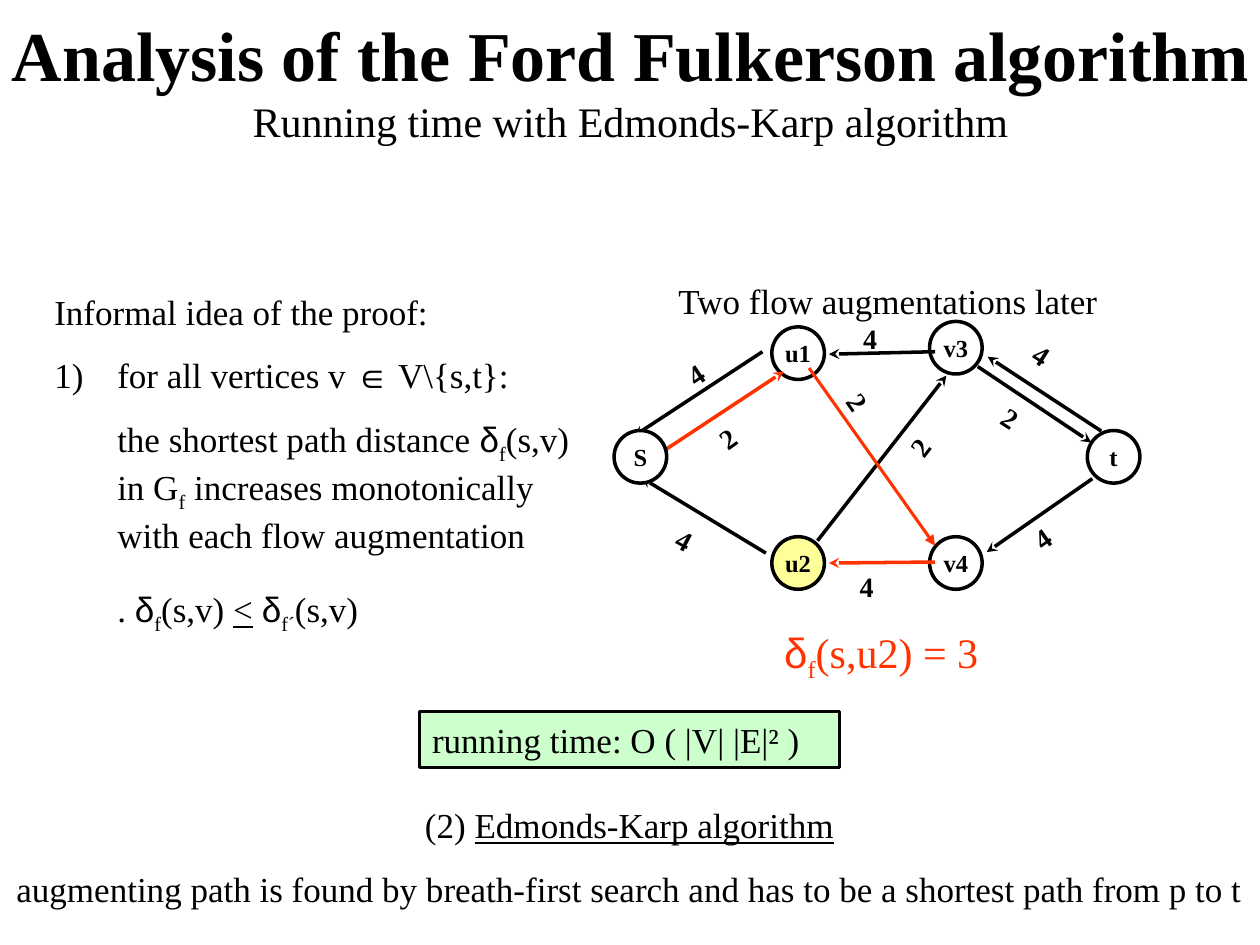
"""Build a slide on the running time of the Edmonds-Karp algorithm."""
import pptx
import pptx.dml.color
import pptx.enum.shapes
import pptx.enum.text
import pptx.oxml.ns
import pptx.util
from lxml import etree
from pptx.util import Cm, Pt

COLORS = {"black": "000000", "white": "FFFFFF", "red": "FF3300",
          "yellow": "FFFF99", "green": "CCFFCC"}
SERIF = "Times New Roman"
SUB = {"baseline": -25000}
SYMBOL = {"font_name": "Arial"}
UNDERLINE = {"underline": True}
ALIGN = pptx.enum.text.PP_ALIGN
ANCHOR = pptx.enum.text.MSO_ANCHOR
SHAPE = pptx.enum.shapes.MSO_SHAPE

NODE_SIZE = 1.06
COLUMN_LEFT, COLUMN_STEP = 12.38, 3.18
NODES = [("t", 3, 8.68, "white"), ("u1", 1, 6.59, "white"), ("u2", 1, 10.82, "yellow"),
         ("v3", 2, 6.48, "white"), ("v4", 2, 10.82, "white")]
SOURCE_NODE = ("S", 0, 8.68, "white")
EDGES = [
    (18.85, 7.09, 16.71, 7.14, "black"),
    (18.85, 11.33, 16.71, 11.35, "red"),
    (15.37, 7.09, 12.78, 8.79, "black"),
    (15.44, 11.15, 12.93, 9.63, "black"),
    (16.48, 10.9, 19.08, 7.57, "black"),
    (22.2, 8.69, 19.91, 7.19, "black"),
    (22.02, 9.65, 19.89, 11.13, "black"),
    (13.18, 9.22, 15.8, 7.49, "red"),
    (19.71, 7.39, 22, 8.92, "black"),
]
CAPACITIES = [
    ("4", 13.34, 10.69, 27.9), ("4", 17.15, 6.35, 0), ("4", 13.54, 6.78, -33.8),
    ("4", 20.52, 10.06, -35.4), ("4", 17.08, 11.35, 0), ("4", 20.52, 6.99, 32.5),
    ("2", 17.93, 8.1, -52.6), ("2", 16.66, 8.1, 55.2), ("2", 19.89, 8.26, 32.5),
    ("2", 14.17, 8.05, -35.6),
]


def rgb(name):
    return pptx.dml.color.RGBColor.from_string(COLORS[name])


def add_element(parent, tag, **attributes):
    return etree.SubElement(parent, pptx.oxml.ns.qn(tag), attributes)


def add_run(paragraph, text, size, color="black", bold=False,
            font_name=SERIF, underline=False, baseline=None):
    run = paragraph.add_run()
    run.text = text
    run.font.name = font_name
    run.font.size = Pt(size)
    run.font.bold = bold
    run.font.underline = underline
    run.font.color.rgb = rgb(color)
    if baseline is not None:
        run.font._element.set("baseline", str(baseline))


def write_paragraph(paragraph, runs, size, alignment=ALIGN.LEFT, before=0, **style):
    paragraph.alignment = alignment
    paragraph.space_before = Pt(before)
    for text, changes in runs:
        add_run(paragraph, text, size, **{**style, **changes})


def place(shape, left, top, width, height):
    shape.left, shape.top = Cm(left), Cm(top)
    shape.width, shape.height = Cm(width), Cm(height)
    shape.text_frame.auto_size = pptx.enum.text.MSO_AUTO_SIZE.NONE


def add_text(slide, box, paragraphs, size, rotation=0, **style):
    shape = slide.shapes.add_textbox(*map(Cm, box))
    shape.rotation = rotation
    frame = shape.text_frame
    frame.word_wrap = True
    for index, runs in enumerate(paragraphs):
        paragraph = frame.add_paragraph() if index else frame.paragraphs[0]
        write_paragraph(paragraph, runs, size, before=12.5 if index else 0, **style)


def add_box(slide, kind, box, fill, width):
    shape = slide.shapes.add_shape(kind, *map(Cm, box))
    shape.shadow.inherit = False
    shape.fill.solid()
    shape.fill.fore_color.rgb = rgb(fill)
    shape.line.color.rgb = rgb("black")
    shape.line.width = Pt(width)
    return shape


def add_node(slide, name, column, top, fill):
    left = COLUMN_LEFT + column * COLUMN_STEP
    shape = add_box(slide, SHAPE.OVAL, (left, top, NODE_SIZE, NODE_SIZE), fill, 2)
    shape.text_frame.word_wrap = False
    shape.text_frame.vertical_anchor = ANCHOR.MIDDLE
    write_paragraph(shape.text_frame.paragraphs[0], [(name, {})], 14, ALIGN.CENTER, bold=True)


def add_edge(slide, start_x, start_y, end_x, end_y, color, width=2, head="stealth"):
    edge = slide.shapes.add_connector(
        pptx.enum.shapes.MSO_CONNECTOR.STRAIGHT,
        Cm(start_x), Cm(start_y), Cm(end_x), Cm(end_y))
    edge.line.color.rgb = rgb(color)
    edge.line.width = Pt(width)
    add_element(edge.line._get_or_add_ln(), "a:tailEnd", type=head)
    add_element(edge._element.spPr, "a:effectLst")


def fill_title(shape):
    place(shape, -0.2, 0, 25.82, 3.18)
    shape.text_frame.vertical_anchor = ANCHOR.MIDDLE
    paragraph = shape.text_frame.paragraphs[0]
    paragraph.alignment = ALIGN.CENTER
    add_run(paragraph, "Analysis of the Ford Fulkerson algorithm", 40, bold=True)
    paragraph.add_line_break()
    add_run(paragraph, "Running time with Edmonds-Karp algorithm", 24)


def fill_proof(shape):
    place(shape, 0.84, 5.72, 11.23, 7.24)
    shape.text_frame.vertical_anchor = ANCHOR.TOP
    items = [
        (0, 0, 0, [("Informal idea of the proof:", {})]),
        (1.27, -1.27, 12.5, [("for all vertices v ", {}), ("∈", SYMBOL), (" V\\{s,t}:", {})]),
        (1.27, 0, 12.5, [("the shortest path distance ", {}), ("δ", SYMBOL), ("f", SUB),
                         ("(s,v) in G", {}), ("f", SUB),
                         (" increases monotonically with each flow augmentation", {})]),
        (1.27, 0, 18.5, [(". ", {}), ("δ", SYMBOL), ("f", SUB), ("(s,v) ", {}),
                         ("<", UNDERLINE), (" ", {}), ("δ", SYMBOL), ("f´", SUB),
                         ("(s,v)", {})]),
    ]
    frame = shape.text_frame
    for index, (margin, indent, before, runs) in enumerate(items):
        paragraph = frame.add_paragraph() if index else frame.paragraphs[0]
        write_paragraph(paragraph, runs, 20, before=before)
        properties = paragraph._p.get_or_add_pPr()
        properties.set("marL", str(Cm(margin)))
        properties.set("indent", str(Cm(indent)))
        if indent:
            add_element(properties, "a:buFont", typeface=SERIF)
            add_element(properties, "a:buAutoNum", type="arabicParenR")
        else:
            add_element(properties, "a:buNone")


def add_graph(slide):
    for node in NODES:
        add_node(slide, *node)
    for edge in EDGES:
        add_edge(slide, *edge)
    add_edge(slide, 16.31, 7.42, 18.85, 11, "red", 1.75, "triangle")
    add_node(slide, *SOURCE_NODE)
    for value, left, top, rotation in CAPACITIES:
        add_text(slide, (left, top, 1.9, 0.94), [[(value, {})]], 16, rotation, bold=True)


def main():
    presentation = pptx.Presentation()
    presentation.slide_width, presentation.slide_height = Cm(25.4), Cm(19.05)
    slide = presentation.slides.add_slide(presentation.slide_layouts[1])
    fill_title(slide.shapes.title)
    fill_proof(slide.placeholders[1])

    running_time = add_box(slide, SHAPE.RECTANGLE, (8.46, 14.35, 8.46, 1.12), "green", 1.75)
    running_time.text_frame.vertical_anchor = ANCHOR.TOP
    write_paragraph(running_time.text_frame.paragraphs[0],
                    [("running time: O ( |V| |E|² )", {})], 20)

    add_graph(slide)
    add_text(slide, (12.5, 5.51, 10.8, 1.12), [[("Two flow augmentations later", {})]],
             20, alignment=ALIGN.CENTER)
    add_text(slide, (14.17, 12.5, 7.19, 1.42),
             [[("δ", SYMBOL), ("f", SUB), ("(s,u2) = 3", {})]],
             24, alignment=ALIGN.CENTER, color="red")
    add_text(slide, (-0.43, 16.08, 26.24, 2.39),
             [[("(2) ", {}), ("Edmonds-Karp algorithm", UNDERLINE)],
              [("augmenting path is found by breath-first search and has to be "
                "a shortest path from p to t", {})]],
             20, alignment=ALIGN.CENTER)
    presentation.save("out.pptx")


if __name__ == "__main__":
    main()
